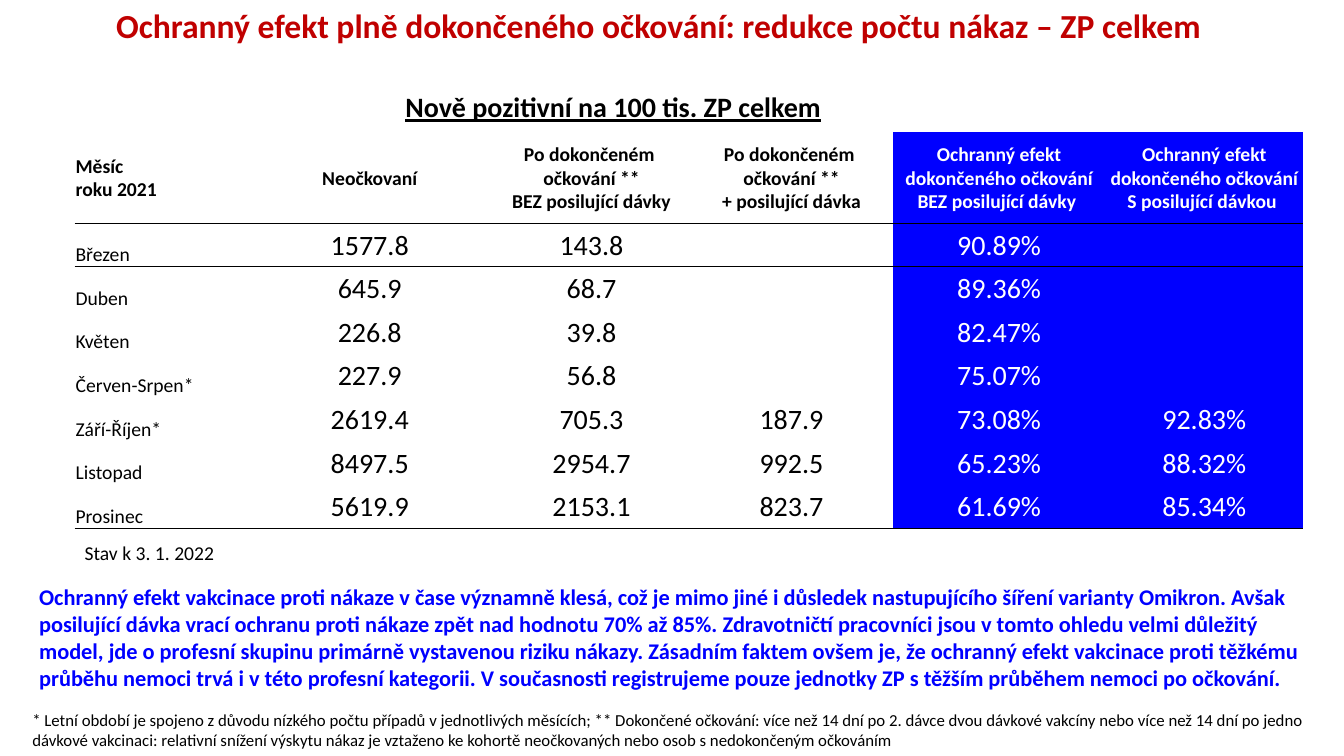
import pptx
import pptx.util
import pptx.dml.color
import pptx.enum.text
import pptx.oxml.ns
from lxml import etree

Pt = pptx.util.Pt
ALIGN = pptx.enum.text.PP_ALIGN
ANCHOR = pptx.enum.text.MSO_ANCHOR
COLORS = {"red": "C00000", "blue": "0000FF", "black": "000000", "white": "FFFFFF"}
PLAIN = "{2D5ABB26-0587-4C30-8999-92F81FD0307C}"
WIDTHS = [123, 175.7, 141.1, 144.7, 151.9, 141.3]
HEADS = [
    "Měsíc\nroku 2021",
    "Neočkovaní",
    "Po dokončeném \nočkování **\nBEZ posilující dávky",
    "Po dokončeném \nočkování **\n+ posilující dávka",
    "Ochranný efekt dokončeného očkování BEZ posilující dávky ",
    "Ochranný efekt dokončeného očkování S posilující dávkou ",
]
MONTHS = [
    ["Březen", "1577.8", "143.8", "", "90.89%", ""],
    ["Duben", "645.9", "68.7", "", "89.36%", ""],
    ["Květen", "226.8", "39.8", "", "82.47%", ""],
    ["Červen-Srpen*", "227.9", "56.8", "", "75.07%", ""],
    ["Září-Říjen*", "2619.4", "705.3", "187.9", "73.08%", "92.83%"],
    ["Listopad", "8497.5", "2954.7", "992.5", "65.23%", "88.32%"],
    ["Prosinec", "5619.9", "2153.1", "823.7", "61.69%", "85.34%"],
]
TITLE = "Ochranný efekt plně dokončeného očkování: redukce počtu nákaz – ZP celkem "
NOTE = (
    "* Letní období je spojeno z důvodu nízkého počtu případů v jednotlivých měsících; "
    "** Dokončené očkování: více než 14 dní po 2. dávce dvou dávkové vakcíny nebo více "
    "než 14 dní po jedno dávkové vakcinaci: relativní snížení výskytu nákaz je vztaženo "
    "ke kohortě neočkovaných nebo osob s nedokončeným očkováním"
)
CLAIM = (
    "Ochranný efekt vakcinace proti nákaze v čase významně klesá, což je mimo jiné i "
    "důsledek nastupujícího šíření varianty Omikron. Avšak posilující dávka vrací ochranu "
    "proti nákaze zpět nad hodnotu 70% až 85%. Zdravotničtí pracovníci jsou v tomto ohledu "
    "velmi důležitý model, jde o profesní skupinu primárně vystavenou riziku nákazy. "
    "Zásadním faktem ovšem je, že ochranný efekt vakcinace proti těžkému průběhu nemoci "
    "trvá i v této profesní kategorii. V současnosti registrujeme pouze jednotky ZP "
    "s těžším průběhem nemoci po očkování."
)


def get_color(name):
    return pptx.dml.color.RGBColor.from_string(COLORS[name])


def put_text(frame, text, size=14, color="black", bold=False, under=False,
             align=ALIGN.LEFT, space=None):
    frame.word_wrap = True
    for i, line in enumerate(text.split("\n")):
        para = frame.add_paragraph() if i else frame.paragraphs[0]
        para.alignment = align
        para.line_spacing = space
        run = para.add_run()
        run.text = line
        font = run.font
        font.name = "Calibri"
        font.size = Pt(size)
        font.bold = bold
        font.underline = under
        font.color.rgb = get_color(color)


def add_text(slide, box, text, **style):
    shape = slide.shapes.add_textbox(*map(Pt, box))
    put_text(shape.text_frame, text, **style)


def add_rule(cell, side):
    props = cell._tc.get_or_add_tcPr()
    line = etree.SubElement(props, pptx.oxml.ns.qn("a:" + side), w=str(Pt(1)))
    fill = etree.SubElement(line, pptx.oxml.ns.qn("a:solidFill"))
    etree.SubElement(fill, pptx.oxml.ns.qn("a:srgbClr"), val=COLORS["black"])


def fill_cell(cell, row, col, text):
    head = row == 1
    blue = row > 0 and col > 3
    if row == 2:
        add_rule(cell, "lnT")
    if row in (1, len(MONTHS) + 1):
        add_rule(cell, "lnB")
    if blue:
        cell.fill.solid()
        cell.fill.fore_color.rgb = get_color("blue")
    else:
        cell.fill.background()
    cell.margin_left = cell.margin_right = cell.margin_top = Pt(0.7)
    cell.margin_bottom = Pt(0)
    cell.vertical_anchor = ANCHOR.MIDDLE if head or col else ANCHOR.BOTTOM
    if text:
        put_text(cell.text_frame, text, size=14 if head or col == 0 else 20,
                 color="white" if blue else "black", bold=head,
                 align=ALIGN.CENTER if col else ALIGN.LEFT)


def add_grid(slide, left, top):
    rows = [[""] * len(HEADS), HEADS, *MONTHS]
    highs = [31.2, 64.8] + [31.2] * len(MONTHS)
    frame = slide.shapes.add_table(len(rows), len(HEADS), Pt(left), Pt(top),
                                   Pt(sum(WIDTHS)), Pt(sum(highs)))
    table = frame.table
    table.first_row = table.horz_banding = False
    table._tbl.tblPr.find(pptx.oxml.ns.qn("a:tableStyleId")).text = PLAIN
    for col, width in zip(table.columns, WIDTHS):
        col.width = Pt(width)
    for r, texts in enumerate(rows):
        table.rows[r].height = Pt(highs[r])
        for c, text in enumerate(texts):
            fill_cell(table.cell(r, c), r, c, text)
    table.cell(0, 2).merge(table.cell(0, 5))


def main():
    deck = pptx.Presentation()
    deck.slide_width, deck.slide_height = Pt(960), Pt(540)
    slide = deck.slides.add_slide(deck.slide_layouts[6])
    add_text(slide, (16, 3, 914.4, 104.4), TITLE, size=24, color="red", bold=True,
             align=ALIGN.CENTER, space=0.9)
    add_text(slide, (278.6, 60.5, 319, 31.7), "Nově pozitivní na 100 tis. ZP celkem",
             size=20, bold=True, under=True, align=ALIGN.CENTER)
    add_text(slide, (16, 503.3, 935.3, 36), NOTE, size=12)
    add_text(slide, (20.9, 413.3, 926.6, 85), CLAIM, size=16, color="blue", bold=True)
    add_grid(slide, 53.3, 63.4)
    add_text(slide, (53.3, 383, 159.1, 24.5), "Stav k 3. 1. 2022")
    deck.save("out.pptx")


if __name__ == "__main__":
    main()
